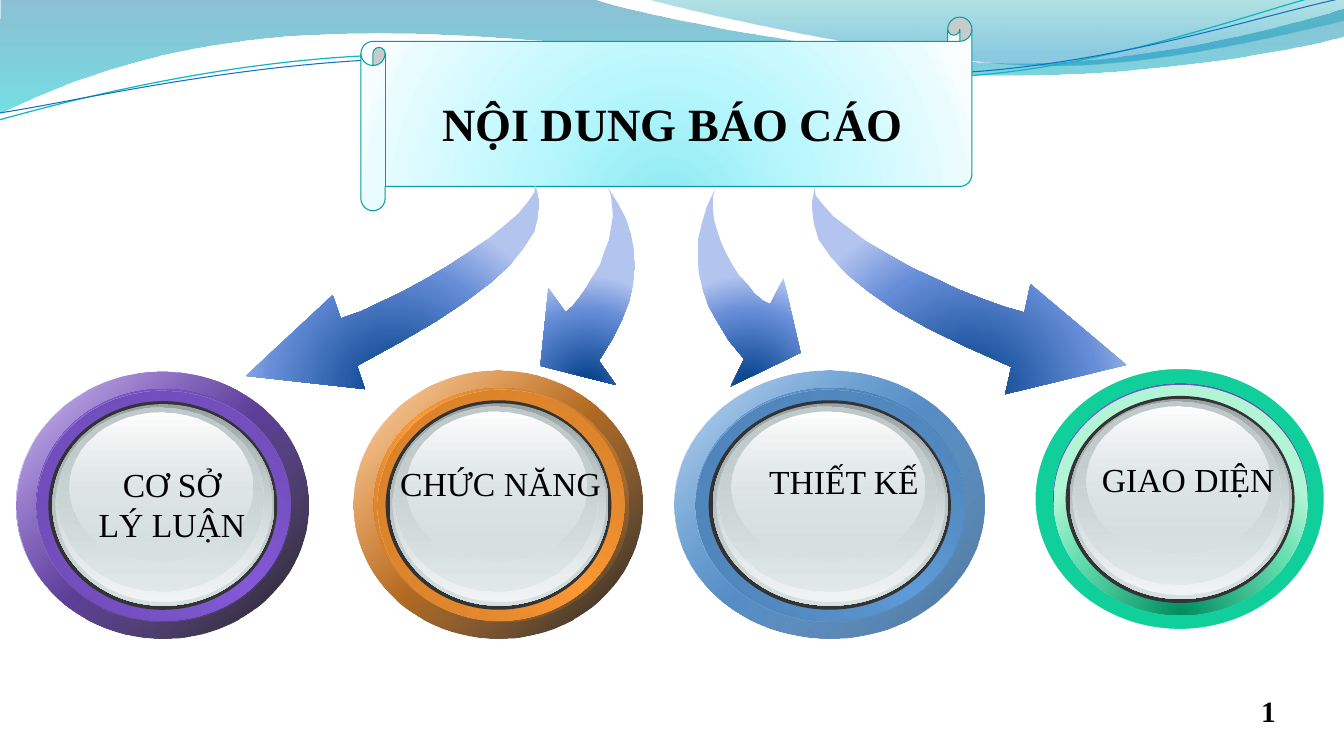
from lxml.etree import SubElement
from pptx import Presentation
from pptx.dml.color import RGBColor
from pptx.enum.shapes import MSO_SHAPE
from pptx.enum.text import MSO_ANCHOR, MSO_AUTO_SIZE, PP_ALIGN
from pptx.oxml import parse_xml
from pptx.oxml.ns import nsdecls, qn
from pptx.util import Inches, Pt

FONT = "Times New Roman"
TITLE = "NỘI DUNG BÁO CÁO"
PAGE_NUMBER = "1"

COLORS = {
    "black": "000000", "white": "FFFFFF", "charcoal": "333333",
    "steel": "99A1A2", "mist": "D6E1E2", "frost": "F2F5F5", "silver": "C1CBCC",
    "violet": "855ADA", "violet dark": "6645A7", "violet deep": "6D4AB3",
    "orange": "FF9933", "orange dark": "C37527", "orange deep": "D17E2A",
    "blue": "5E9CDA", "blue dark": "4877A7", "blue deep": "4D80B3", "blue shade": "43709C",
    "green": "10CF9B", "green dark": "008C60", "green mid": "65DEB0", "green light": "B2F4D6",
    "arrow dark": "003D87", "arrow mid": "668DD7", "arrow light": "B3C4EF",
    "scroll aqua": "8BE9F1", "scroll sky": "B9F7FD", "scroll pale": "EAFCFE",
    "scroll white": "F8FEFF", "scroll line": "069CA3",
    "wave navy": "0074A1", "wave cyan": "00C6CF", "wave teal": "00A1A9", "wave sea": "008BBF",
    "strand cyan": "0AB8BF", "strand blue": "0F6FC6",
}

WAVES = [
    ([(0, 0), (5.87, -0.01), (6.34, 0.17, 8.84, 0.63, 10.11, 0.63),
      (11.37, 0.63, 12.77, 0.26, 13.33, 0.09), (13.34, 0.36),
      (13.11, 0.44, 11.59, 0.76, 9.94, 0.75), (8.29, 0.75, 5.09, 0.28, 3.43, 0.34),
      (1.72, 0.36, 0.61, 0.83, -0.01, 1.13)],
     [(0, "wave navy", 45), (100, "wave cyan", 55)]),
    ([(6.39, -0.01), (6.79, 0.11, 9.09, 0.62, 10.25, 0.65),
      (11.4, 0.69, 12.82, 0.32, 13.33, 0.21), (13.33, 0)],
     [(0, "wave teal", 30), (80, "wave sea", 45)]),
]
STRANDS = [
    ([(-0.01, 1.19), (0.64, 1.01, 2.11, 0.62, 3.69, 0.55),
      (5.27, 0.48, 7.89, 0.87, 9.5, 0.76), (11.1, 0.66, 12.51, 0.08, 13.31, -0.1)],
     "strand cyan", 0.85),
    ([(0, 1.12), (0.63, 1.03, 2.18, 0.66, 3.78, 0.59),
      (5.37, 0.53, 7.96, 0.82, 9.55, 0.72), (11.14, 0.62, 12.55, 0.14, 13.33, -0.02)],
     "strand blue", 0.75),
]

ARROWS = [
    [(5.31, 1.83), (5.35, 1.99), (5.34, 2.14), (5.3, 2.3), (5.19, 2.47), (5.06, 2.63),
     (4.86, 2.81), (4.62, 2.99), (4.32, 3.19), (3.96, 3.4), (3.54, 3.63), (3.62, 3.86),
     (2.44, 3.73), (3.3, 2.93), (3.38, 3.16), (3.58, 3.09), (3.79, 2.99), (4, 2.89),
     (4.22, 2.77), (4.44, 2.64), (4.64, 2.51), (4.84, 2.37), (5, 2.24), (5.14, 2.12),
     (5.23, 2.01), (5.3, 1.91)],
    [(8.08, 1.86), (8.05, 2.03), (8.07, 2.21), (8.12, 2.38), (8.24, 2.55), (8.4, 2.72),
     (8.61, 2.89), (8.87, 3.07), (9.19, 3.25), (9.58, 3.44), (10.03, 3.64), (9.97, 3.91),
     (11.17, 3.62), (10.22, 2.82), (10.16, 3.1), (9.95, 3.04), (9.73, 2.96), (9.5, 2.87),
     (9.27, 2.76), (9.03, 2.65), (8.82, 2.53), (8.6, 2.4), (8.43, 2.27), (8.27, 2.15),
     (8.17, 2.04), (8.09, 1.94)],
    [(6.03, 1.86), (6.13, 2.02), (6.21, 2.17), (6.26, 2.33), (6.29, 2.49), (6.3, 2.65),
     (6.28, 2.82), (6.24, 2.99), (6.17, 3.17), (6.07, 3.37), (5.94, 3.58), (6.11, 3.82),
     (5.36, 3.63), (5.44, 2.86), (5.61, 3.1), (5.68, 3.04), (5.75, 2.95), (5.82, 2.85),
     (5.88, 2.74), (5.95, 2.63), (5.99, 2.51), (6.04, 2.38), (6.06, 2.26), (6.08, 2.14),
     (6.07, 2.03), (6.06, 1.94)],
    [(7.09, 1.88), (7.01, 2.05), (6.96, 2.22), (6.92, 2.39), (6.92, 2.55), (6.93, 2.71),
     (6.97, 2.87), (7.03, 3.04), (7.12, 3.2), (7.23, 3.38), (7.38, 3.56), (7.25, 3.83),
     (7.94, 3.5), (7.77, 2.76), (7.64, 3.02), (7.56, 2.98), (7.48, 2.91), (7.41, 2.82),
     (7.33, 2.73), (7.26, 2.62), (7.2, 2.51), (7.15, 2.4), (7.11, 2.28), (7.08, 2.17),
     (7.07, 2.06), (7.07, 1.96)],
]
ARROW_STOPS = [(0, "arrow dark"), (68, "arrow mid"), (100, "arrow light")]
SCROLL_STOPS = [(0, "scroll aqua"), (43, "scroll sky"), (93, "scroll pale"), (100, "scroll white")]
GREEN_STOPS = [(0, "green dark"), (68, "green mid"), (100, "green light")]

RINGS = [
    ("violet", (0.16, 3.69, 2.9, 2.64), ("black", 90), 0,
     ["CƠ SỞ", "LÝ LUẬN"], (0.87, 4.55, 1.67, 0.91)),
    ("green", (10.25, 3.64, 2.9, 2.62), None, 0, ["GIAO DIỆN"], (10.82, 4.5, 1.93, 0.5)),
    ("orange", (3.51, 3.68, 2.86, 2.65), ("black", 90), 0.04,
     ["CHỨC NĂNG"], (3.86, 4.54, 2.21, 0.5)),
    ("blue", (6.69, 3.68, 3.07, 2.65), ("blue shade", 100), 0,
     ["THIẾT KẾ"], (6.9, 4.52, 2.94, 0.5)),
]
RING_SIZE = (2.9, 2.64)
FACE = (0.2, 0.17, 2.52, 2.3)
GLOSS = (0.2, 0.18, 2.52, 2.3)
RIM = (0.32, 0.29, 2.27, 2.07)
BUTTON_LAYERS = [
    ((0.36, 0.32, 2.2, 2), [(0, "steel"), (100, "mist")]),
    ((0.39, 0.33, 2.14, 1.95), [(0, "mist", 0), (100, "frost")]),
    ((0.41, 0.35, 2.04, 1.83), [(0, "silver"), (100, "mist", 48)]),
    ((0.53, 0.4, 1.81, 1.48), [(0, "white"), (100, "mist", 38)]),
]

deck = Presentation()
deck.slide_width, deck.slide_height = Inches(13.33), Inches(7.5)
page = deck.slides.add_slide(deck.slide_layouts[6])


def paint(shape, fill=None, angle=None, line=None, width=0.75):
    shape.shadow.inherit = False
    if isinstance(fill, str):
        shape.fill.solid()
        shape.fill.fore_color.rgb = RGBColor.from_string(COLORS[fill])
    else:
        shape.fill.background()
    if isinstance(fill, list):
        gradient = parse_xml(f'<a:gradFill rotWithShape="1" {nsdecls("a")}><a:gsLst/></a:gradFill>')
        for position, name, *alpha in fill:
            stop = SubElement(gradient[0], qn("a:gs"), pos=str(position * 1000))
            color = SubElement(stop, qn("a:srgbClr"), val=COLORS[name])
            if alpha:
                SubElement(color, qn("a:alpha"), val=str(alpha[0] * 1000))
        if angle is None:
            circle = SubElement(gradient, qn("a:path"), path="circle")
            SubElement(circle, qn("a:fillToRect"), l="50000", t="130000", r="50000", b="-30000")
        else:
            SubElement(gradient, qn("a:lin"), ang=str(angle * 60000), scaled="0")
        properties = shape._element.spPr
        properties.replace(properties.find(qn("a:noFill")), gradient)
    if line:
        shape.line.color.rgb = RGBColor.from_string(COLORS[line])
        shape.line.width = Pt(width)
    else:
        shape.line.fill.background()


def outline(steps, close=True):
    points = [steps[0]]
    for step in steps[1:]:
        if len(step) == 2:
            points.append(step)
            continue
        controls = [points[-1], step[:2], step[2:4], step[4:]]
        for part in range(1, 25):
            t = part / 24
            weights = ((1 - t) ** 3, 3 * t * (1 - t) ** 2, 3 * t * t * (1 - t), t ** 3)
            points.append(tuple(sum(w * c[axis] for w, c in zip(weights, controls)) for axis in (0, 1)))
    corners = [(Inches(x), Inches(y)) for x, y in points]
    builder = page.shapes.build_freeform(*corners[0], scale=1)
    builder.add_line_segments(corners[1:], close=close)
    return builder.convert_to_shape()


def write(frame, lines, size, bold=False, align=PP_ALIGN.CENTER):
    for index, text in enumerate(lines):
        para = frame.paragraphs[0] if index == 0 else frame.add_paragraph()
        para.alignment = align
        span = para.add_run()
        span.text = text
        span.font.name, span.font.size, span.font.bold = FONT, Pt(size), bold
        span.font.color.rgb = RGBColor.from_string(COLORS["black"])


def label(place, lines, size, wrap=False, **style):
    box = page.shapes.add_textbox(*map(Inches, place))
    box.text_frame.word_wrap = wrap
    box.text_frame.auto_size = MSO_AUTO_SIZE.SHAPE_TO_FIT_TEXT
    write(box.text_frame, lines, size, **style)


def draw_ring(color, place, shade, shift, lines, text_place):
    left, top, width, height = place
    across, down = width / RING_SIZE[0], height / RING_SIZE[1]

    def disc(layer, fill, angle=None, nudge=0, **line):
        x, y, w, h = layer
        area = (left + x * across + nudge, top + y * down, w * across, h * down)
        paint(page.shapes.add_shape(MSO_SHAPE.OVAL, *map(Inches, area)), fill, angle, **line)

    whole = (0, 0, *RING_SIZE)
    tint = color if shade else "violet"
    if shade:
        disc(whole, [(0, "white"), (50, color), (100, "white")], 45)
        disc(whole, [(0, color, 32), (100, *shade)], 45)
    else:
        disc(whole, color, line="white", width=3)
    disc(FACE, [(0, f"{tint} dark"), (50, tint), (100, f"{tint} dark")], 315)
    if shade:
        disc(GLOSS, [(0, f"{color} deep"), (100, color, 0)], 45, shift)
    else:
        disc(GLOSS, GREEN_STOPS)
    disc(RIM, "charcoal")
    for layer, stops in BUTTON_LAYERS:
        disc(layer, stops, 90)
    label(text_place, lines, 24, wrap=color == "blue")


for steps, stops in WAVES:
    paint(outline(steps), stops, 90)
for steps, color, width in STRANDS:
    paint(outline(steps, close=False), line=color, width=width)

for ring in RINGS:
    draw_ring(*ring)

scroll = page.shapes.add_shape(MSO_SHAPE.HORIZONTAL_SCROLL, *map(Inches, (3.58, 0.17, 6.06, 1.92)))
paint(scroll, SCROLL_STOPS, line="scroll line")
scroll.text_frame.word_wrap = True
scroll.text_frame.vertical_anchor = MSO_ANCHOR.MIDDLE
scroll.text_frame.margin_top = Inches(0.24)
write(scroll.text_frame, [TITLE], 33, bold=True)

for arrow in ARROWS:
    paint(outline(arrow), ARROW_STOPS)

label((12.41, 6.83, 0.67, 0.45), [PAGE_NUMBER], 21, wrap=True, bold=True, align=PP_ALIGN.LEFT)

deck.save("out.pptx")
